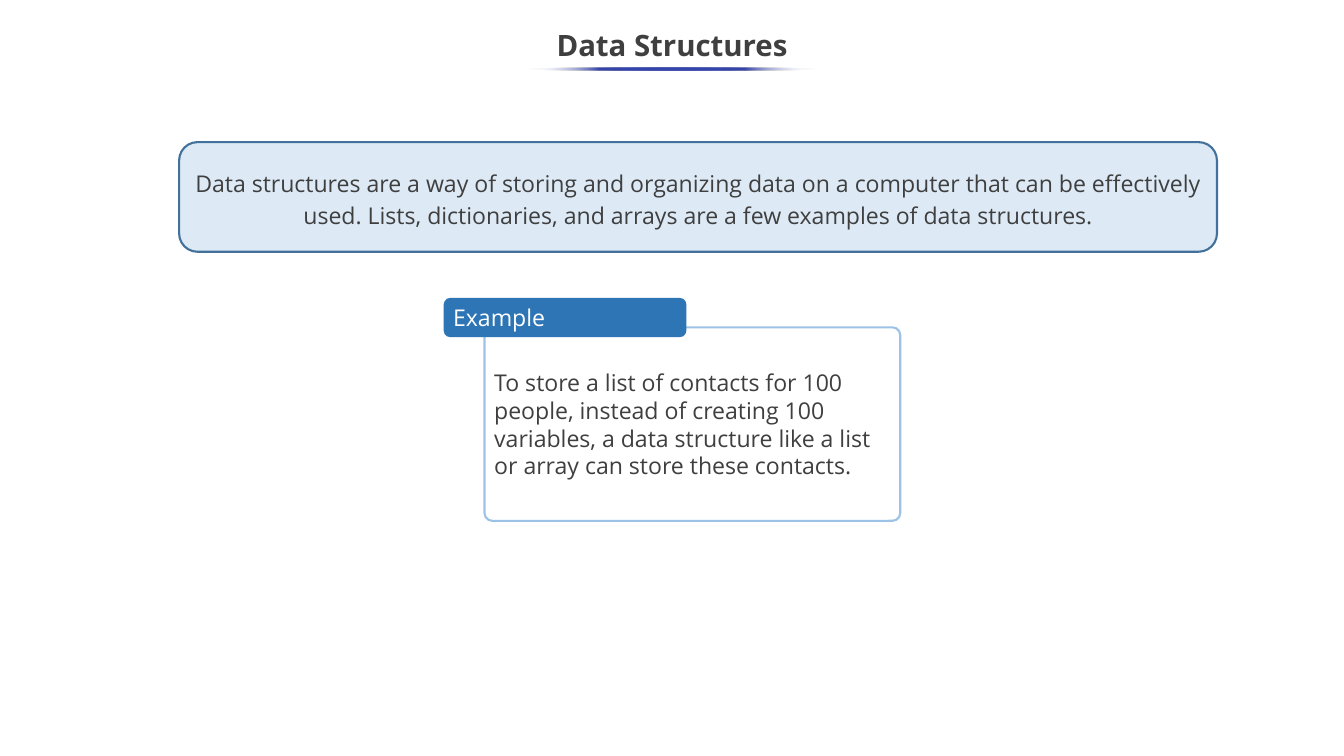
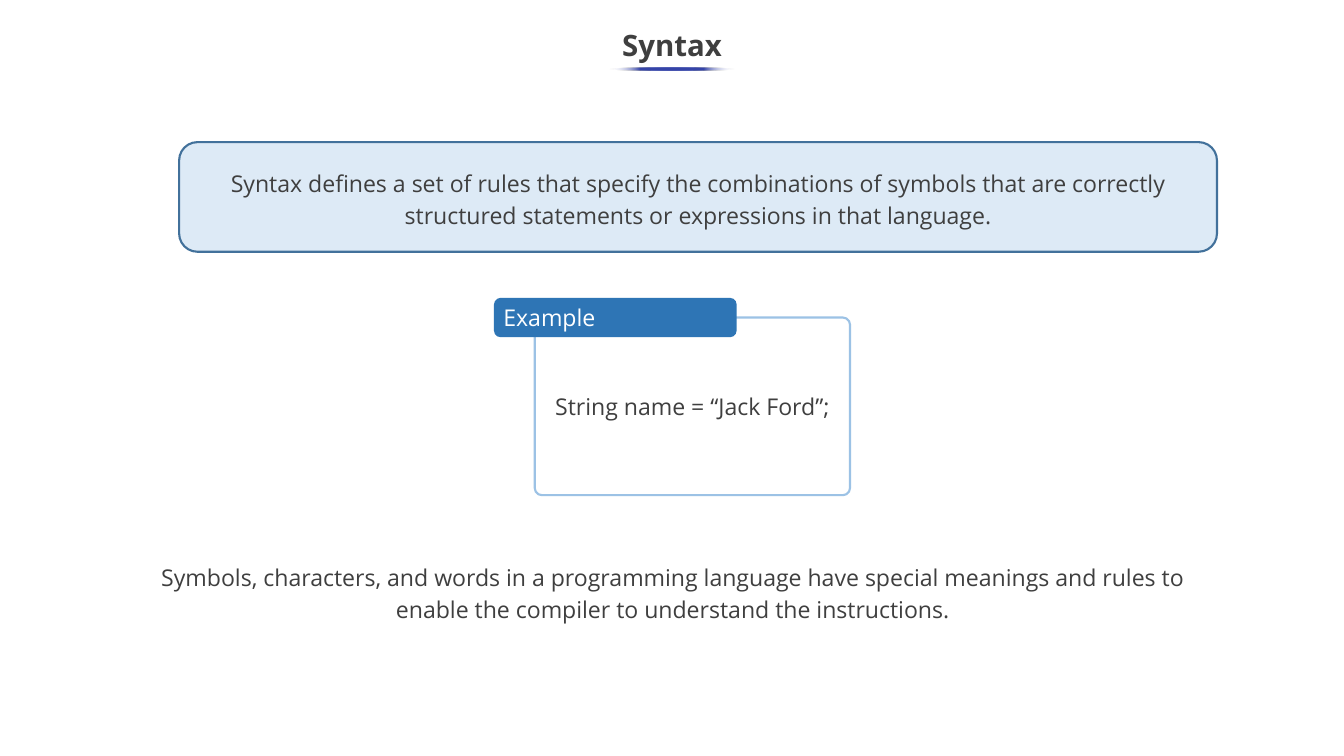
from dataclasses import dataclass

from lxml.etree import SubElement
from pptx import Presentation
from pptx.dml.color import RGBColor
from pptx.enum.shapes import MSO_SHAPE as Preset
from pptx.enum.text import MSO_ANCHOR as Anchor, MSO_AUTO_SIZE as AutoSize, PP_ALIGN as Align
from pptx.oxml.ns import qn
from pptx.util import Inches, Pt

FONT = "Open Sans"
TEXT = "3F3F3F"
WHITE = "FFFFFF"
PANEL_FILL = "DDEAF6"
PANEL_LINE = "42719B"
FRAME_LINE = "9CC2E5"
LABEL_FILL = "2E75B5"
UNDERLINE = "3645A9"

SLIDE_WIDTH = 17.78
SLIDE_HEIGHT = 10
FRAME_CENTER = 9.16
LABEL_OVERHANG = 0.54


@dataclass
class Box:
    left: float
    top: float
    width: float
    height: float

    def lengths(self):
        return [Inches(value) for value in (self.left, self.top, self.width, self.height)]


@dataclass
class Example:
    text: str
    top: float
    width: float
    height: float
    align: Align


@dataclass
class Topic:
    title: str
    underline_width: float
    definition: str
    example: Example
    closing: tuple[str, ...] = ()


TOPICS = [
    Topic(
        "Data Structures",
        3.83,
        "Data structures are a way of storing and organizing data on a computer that can be "
        "effectively used. Lists, dictionaries, and arrays are a few examples of data structures.",
        Example(
            "To store a list of contacts for 100 people, instead of creating 100 variables, "
            "a data structure like a list or array can store these contacts.",
            4.33, 5.5, 2.56, Align.LEFT,
        ),
    ),
    Topic(
        "Syntax",
        1.65,
        "Syntax defines a set of rules that specify the combinations of symbols that are "
        "correctly structured statements or expressions in that language.",
        Example("String name = “Jack Ford”;", 4.2, 4.17, 2.35, Align.CENTER),
        (
            "Symbols, characters, and words in a programming language have special meanings and rules to",
            "enable the compiler to understand the instructions.",
        ),
    ),
]


def rgb(color: str) -> RGBColor:
    return RGBColor.from_string(color)


def write_text(shape, *lines: str, size=22, color=TEXT, bold=False, align=Align.LEFT,
               spacing=1.0, anchor=Anchor.MIDDLE, margin=0.05) -> None:
    frame = shape.text_frame
    frame.word_wrap = True
    frame.auto_size = AutoSize.NONE
    frame.vertical_anchor = anchor
    frame.margin_left = frame.margin_right = Inches(0.1)
    frame.margin_top = frame.margin_bottom = Inches(margin)
    frame.text = "\n".join(lines)
    for paragraph in frame.paragraphs:
        paragraph.alignment = align
        paragraph.line_spacing = spacing
        paragraph.space_before = Pt(0)
        for run in paragraph.runs:
            run.font.name = FONT
            run.font.size = Pt(size)
            run.font.bold = bold
            run.font.color.rgb = rgb(color)


def add_rounded(slide, box: Box, radius=0.167, fill=None, line=None):
    shape = slide.shapes.add_shape(Preset.ROUNDED_RECTANGLE, *box.lengths())
    shape.shadow.inherit = False
    shape.adjustments[0] = radius
    if fill:
        shape.fill.solid()
        shape.fill.fore_color.rgb = rgb(fill)
    else:
        shape.fill.background()
    if line:
        shape.line.color.rgb = rgb(line)
        shape.line.width = Pt(2)
    else:
        shape.line.fill.background()
    return shape


def add_title(slide, text: str, underline_width: float) -> None:
    title = slide.shapes.title
    title.left, title.top, title.width, title.height = Box(0, 0.25, SLIDE_WIDTH, 0.75).lengths()
    write_text(title, text, size=28, bold=True, align=Align.CENTER, spacing=0.9)

    box = Box((SLIDE_WIDTH - underline_width) / 2, 0.89, underline_width, 0.04)
    underline = slide.shapes.add_shape(Preset.OVAL, *box.lengths())
    underline.shadow.inherit = False
    underline.line.fill.background()
    underline.fill.gradient()
    underline.fill.gradient_angle = 180
    stops = underline.element.spPr.find(qn("a:gradFill")).find(qn("a:gsLst"))
    for stop in list(stops):
        stops.remove(stop)
    for percent in range(0, 101, 25):
        at_tip = percent in (0, 100)
        stop = SubElement(stops, qn("a:gs"), pos=str(percent * 1000))
        color = SubElement(stop, qn("a:srgbClr"), val=WHITE if at_tip else UNDERLINE)
        if at_tip:
            SubElement(color, qn("a:alpha"), val="0")


def add_example(slide, example: Example) -> None:
    left = FRAME_CENTER - example.width / 2
    frame = add_rounded(slide, Box(left, example.top, example.width, example.height),
                        radius=0.04, line=FRAME_LINE)
    write_text(frame, example.text, align=example.align)
    label = add_rounded(slide, Box(left - LABEL_OVERHANG, 3.94, 3.21, 0.52), fill=LABEL_FILL)
    write_text(label, "Example", color=WHITE, anchor=Anchor.TOP)


def add_topic(presentation, topic: Topic) -> None:
    slide = presentation.slides.add_slide(presentation.slide_layouts.get_by_name("Title Only"))
    add_title(slide, topic.title, topic.underline_width)
    panel = add_rounded(slide, Box(2.37, 1.88, 13.73, 1.45), fill=PANEL_FILL, line=PANEL_LINE)
    write_text(panel, topic.definition, align=Align.CENTER, spacing=1.15)
    add_example(slide, topic.example)
    if topic.closing:
        closing = slide.shapes.add_textbox(*Box(1.41, 7.4, 14.98, 0.99).lengths())
        write_text(closing, *topic.closing, align=Align.CENTER, spacing=1.15,
                   anchor=Anchor.TOP, margin=0)


def main() -> None:
    presentation = Presentation()
    presentation.slide_width = Inches(SLIDE_WIDTH)
    presentation.slide_height = Inches(SLIDE_HEIGHT)
    for topic in TOPICS:
        add_topic(presentation, topic)
    presentation.save("out.pptx")


if __name__ == "__main__":
    main()
